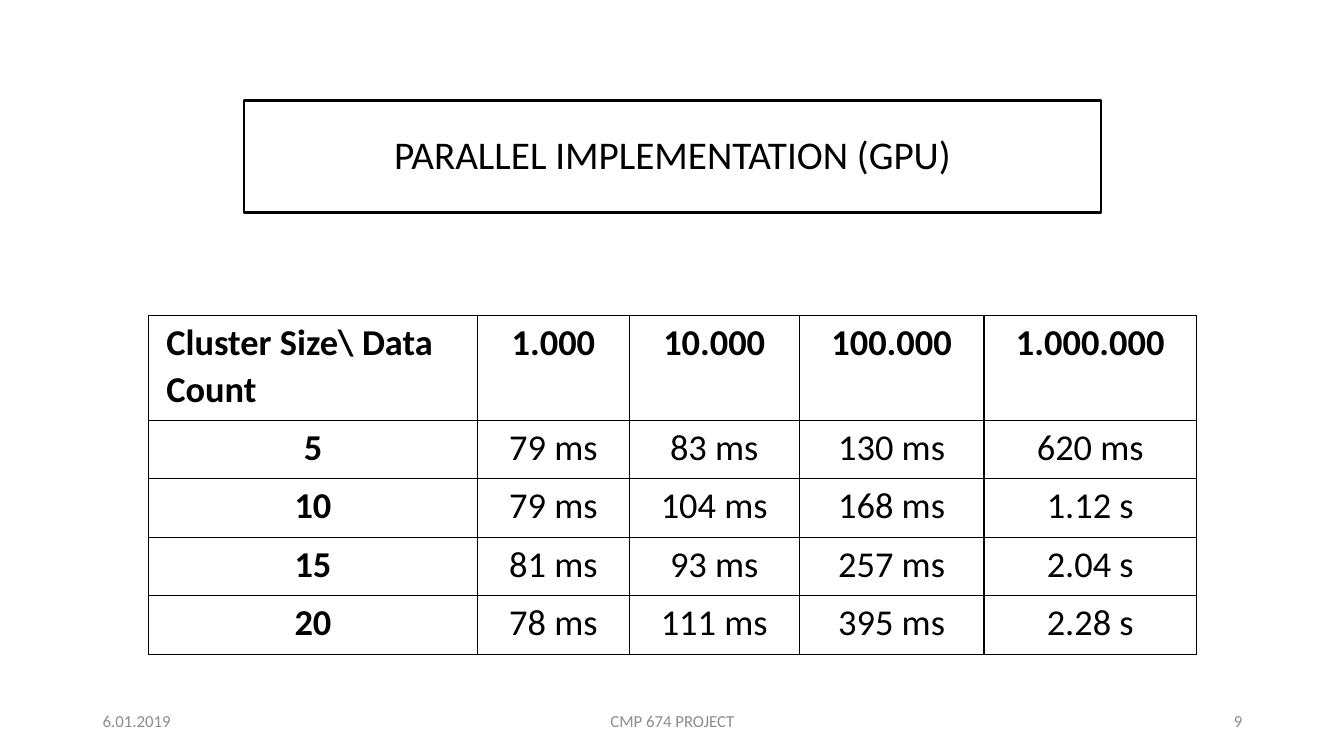
from lxml.etree import SubElement
from pptx import Presentation
from pptx.dml.color import RGBColor
from pptx.enum.shapes import MSO_SHAPE
from pptx.enum.text import MSO_ANCHOR, PP_ALIGN
from pptx.oxml import parse_xml
from pptx.oxml.ns import nsdecls, qn
from pptx.util import Inches, Pt

BLACK, WHITE, GRAY = "000000", "FFFFFF", "8C8C8C"
LEFT, CENTER, RIGHT = PP_ALIGN.LEFT, PP_ALIGN.CENTER, PP_ALIGN.RIGHT


def color(hex_string):
    return RGBColor.from_string(hex_string)


class SlideBuilder:
    font_name = "Calibri"

    def __init__(self, slide):
        self.slide = slide

    def set_text(self, text_frame, text, size, hex_string=BLACK, align=CENTER,
                 bold=False, spacing=1.0):
        text_frame.text = text
        text_frame.word_wrap = True
        paragraph = text_frame.paragraphs[0]
        paragraph.alignment = align
        paragraph.line_spacing = spacing
        font = paragraph.runs[0].font
        font.name, font.size, font.bold = self.font_name, Pt(size), bold
        font.color.rgb = color(hex_string)

    def title(self, text, left, top, width, height):
        shape = self.slide.shapes.add_shape(
            MSO_SHAPE.RECTANGLE, Inches(left), Inches(top), Inches(width), Inches(height))
        shape.shadow.inherit = False
        shape.fill.solid()
        shape.fill.fore_color.rgb = color(WHITE)
        fill_color = shape.element.spPr.find(qn("a:solidFill"))[0]
        SubElement(fill_color, qn("a:alpha"), val="10000")
        shape.line.color.rgb = color(BLACK)
        shape.line.width = Pt(2)
        shape.text_frame.vertical_anchor = MSO_ANCHOR.MIDDLE
        self.set_text(shape.text_frame, text, 28, spacing=0.9)

    def label(self, text, left, width, align):
        box = self.slide.shapes.add_textbox(
            Inches(left), Inches(6.95), Inches(width), Inches(0.4))
        box.text_frame.vertical_anchor = MSO_ANCHOR.MIDDLE
        self.set_text(box.text_frame, text, 12, GRAY, align)

    def borders(self, cell):
        properties = cell._tc.get_or_add_tcPr()
        for index, side in enumerate(("lnL", "lnR", "lnT", "lnB")):
            properties.insert(index, parse_xml(
                f'<a:{side} {nsdecls("a")} w="{Pt(1)}"><a:solidFill>'
                f'<a:srgbClr val="{BLACK}"/></a:solidFill></a:{side}>'))

    def table(self, rows, left, top, widths, heights):
        table = self.slide.shapes.add_table(
            len(rows), len(widths), Inches(left), Inches(top),
            Inches(sum(widths)), Inches(sum(heights))).table
        for column, width in zip(table.columns, widths):
            column.width = Inches(width)
        for row, height in zip(table.rows, heights):
            row.height = Inches(height)
        for row_index, values in enumerate(rows):
            for column_index, value in enumerate(values):
                cell = table.cell(row_index, column_index)
                cell.fill.background()
                cell.margin_left = cell.margin_right = Inches(0.18)
                cell.margin_top, cell.margin_bottom = Inches(0.02), 0
                is_corner = row_index == column_index == 0
                is_header = row_index == 0 or column_index == 0
                self.set_text(cell.text_frame, value, 26, bold=is_header, spacing=1.07,
                              align=LEFT if is_corner else CENTER)
                self.borders(cell)


def main():
    presentation = Presentation()
    presentation.slide_width = Inches(13.33)
    presentation.slide_height = Inches(7.5)
    builder = SlideBuilder(presentation.slides.add_slide(presentation.slide_layouts[6]))

    # Title
    builder.title("PARALLEL IMPLEMENTATION (GPU)", 2.42, 1, 8.5, 1.11)

    # Run times by cluster size and data count
    run_times = [
        ("Cluster Size\\ Data Count", "1.000", "10.000", "100.000", "1.000.000"),
        ("5", "79 ms", "83 ms", "130 ms", "620 ms"),
        ("10", "79 ms", "104 ms", "168 ms", "1.12 s"),
        ("15", "81 ms", "93 ms", "257 ms", "2.04 s"),
        ("20", "78 ms", "111 ms", "395 ms", "2.28 s"),
    ]
    builder.table(run_times, 1.47, 3.13, [3.27, 1.5, 1.69, 1.83, 2.11],
                  [1.04] + [0.58] * 4)

    # Footer
    builder.label("6.01.2019", 0.92, 3, LEFT)
    builder.label("CMP 674 PROJECT", 4.42, 4.5, CENTER)
    builder.label("9", 9.42, 3, RIGHT)

    presentation.save("out.pptx")


if __name__ == "__main__":
    main()
